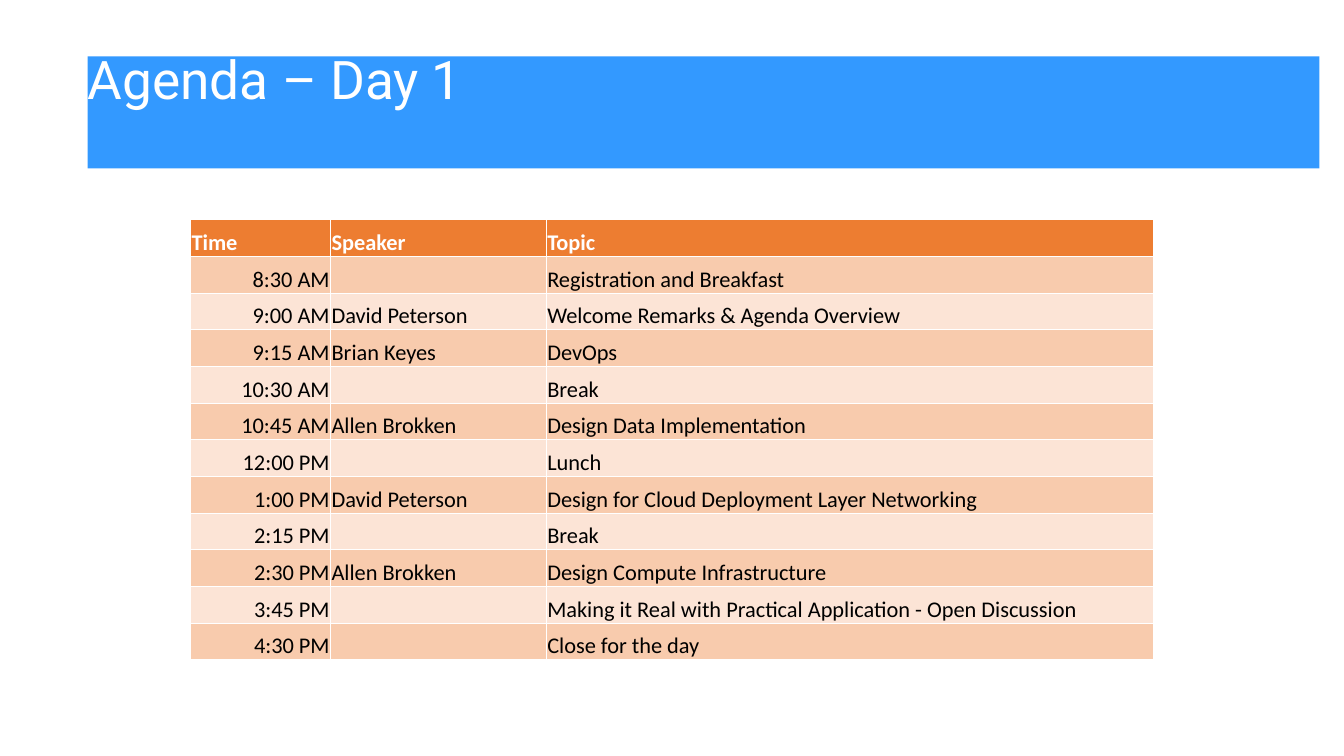
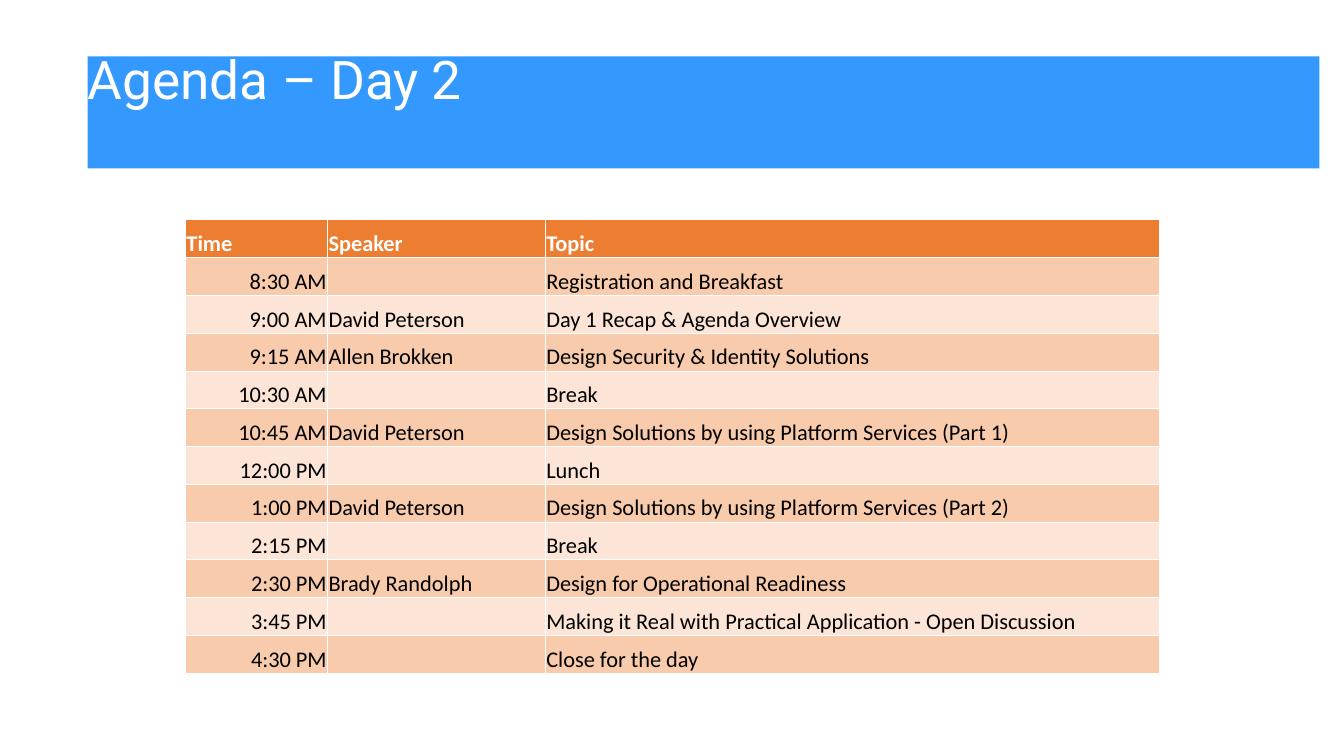
from dataclasses import dataclass
from typing import Any

from lxml.etree import SubElement
from pptx import Presentation
from pptx.dml.color import RGBColor
from pptx.enum.text import MSO_ANCHOR as Anchor, MSO_AUTO_SIZE as AutoSize, PP_ALIGN as Align
from pptx.oxml.ns import qn
from pptx.util import Pt

# Shared look
BAND_BLUE, HEADER_ORANGE, WHITE, BLACK = "3399FF", "ED7D31", "FFFFFF", "000000"
ROW_TINTS = ("F8CBAD", "FCE4D6")
TITLE_BOX = {"left": Pt(62.64), "top": Pt(40.32), "width": Pt(879.84), "height": Pt(79.92)}
TITLE_FRAME = {"margin_left": 0, "margin_top": 0, "margin_right": 0, "margin_bottom": 0,
               "vertical_anchor": Anchor.TOP, "word_wrap": True, "auto_size": AutoSize.NONE}
TITLE_PARAGRAPH = {"alignment": Align.LEFT, "line_spacing": 0.85, "space_before": Pt(0)}
TITLE_FONT = {"name": "Roboto", "size": Pt(38), "bold": False}
CELL_FRAME = {"margin_left": Pt(0.72), "margin_top": Pt(0.72), "margin_right": Pt(0.72),
              "margin_bottom": 0, "vertical_anchor": Anchor.BOTTOM}
CELL_FONT = {"name": "Calibri", "size": Pt(16)}
TABLE_TOP = 156.96
GRID_LINE = 0.5

# Agenda content
HEADINGS = ("Time", "Speaker", "Topic")
TIMES = ("8:30 AM", "9:00 AM", "9:15 AM", "10:30 AM", "10:45 AM", "12:00 PM",
         "1:00 PM", "2:15 PM", "2:30 PM", "3:45 PM", "4:30 PM")


@dataclass(frozen=True)
class Session:
    topic: str
    speaker: str = ""


@dataclass(frozen=True)
class Day:
    title: str
    left: float
    columns: tuple[float, ...]
    row_height: float
    sessions: tuple[Session, ...]


REGISTRATION = Session("Registration and Breakfast")
BREAK = Session("Break")
LUNCH = Session("Lunch")
DISCUSSION = Session("Making it Real with Practical Application - Open Discussion")
CLOSE = Session("Close for the day")

DAYS = (
    Day("Agenda – Day 1", 136.08, (100.08, 154.08, 433.44), 26.2, (
        REGISTRATION,
        Session("Welcome Remarks & Agenda Overview", "David Peterson"),
        Session("DevOps", "Brian Keyes"),
        BREAK,
        Session("Design Data Implementation", "Allen Brokken"),
        LUNCH,
        Session("Design for Cloud Deployment Layer Networking", "David Peterson"),
        BREAK,
        Session("Design Compute Infrastructure", "Allen Brokken"),
        DISCUSSION,
        CLOSE)),
    Day("Agenda – Day 2", 132.48, (101.52, 155.52, 438.48), 27, (
        REGISTRATION,
        Session("Day 1 Recap & Agenda Overview", "David Peterson"),
        Session("Design Security & Identity Solutions", "Allen Brokken"),
        BREAK,
        Session("Design Solutions by using Platform Services (Part 1)", "David Peterson"),
        LUNCH,
        Session("Design Solutions by using Platform Services (Part 2)", "David Peterson"),
        BREAK,
        Session("Design for Operational Readiness", "Brady Randolph"),
        DISCUSSION,
        CLOSE)),
)


def apply(target: Any, values: dict[str, Any]) -> None:
    for name, value in values.items():
        setattr(target, name, value)


def paint(fill: Any, colour: str) -> None:
    fill.solid()
    fill.fore_color.rgb = RGBColor.from_string(colour)


def write(paragraph: Any, text: str, font: dict[str, Any], colour: str) -> None:
    run = paragraph.add_run()
    run.text = text
    apply(run.font, font)
    paint(run.font.fill, colour)


def add_grid_lines(cell: Any) -> None:
    properties = cell._tc.get_or_add_tcPr()
    for side in ("a:lnL", "a:lnR", "a:lnT", "a:lnB"):
        line = SubElement(properties, qn(side), w=str(Pt(GRID_LINE)))
        SubElement(SubElement(line, qn("a:solidFill")), qn("a:srgbClr"), val=WHITE)


def draw_title(slide: Any, text: str) -> None:
    title = slide.shapes.title
    apply(title, TITLE_BOX)
    paint(title.fill, BAND_BLUE)
    apply(title.text_frame, TITLE_FRAME)
    heading = title.text_frame.paragraphs[0]
    apply(heading, TITLE_PARAGRAPH)
    write(heading, text, TITLE_FONT, WHITE)


def draw_cell(cell: Any, text: str, row: int, column: int) -> None:
    is_header = row == 0
    apply(cell, CELL_FRAME)
    add_grid_lines(cell)
    paint(cell.fill, HEADER_ORANGE if is_header else ROW_TINTS[(row - 1) % 2])
    if text:
        entry = cell.text_frame.paragraphs[0]
        entry.alignment = Align.RIGHT if column == 0 and not is_header else Align.LEFT
        write(entry, text, CELL_FONT | {"bold": is_header}, WHITE if is_header else BLACK)


def draw_schedule(slide: Any, day: Day) -> None:
    entries = [HEADINGS] + [(time, session.speaker, session.topic)
                            for time, session in zip(TIMES, day.sessions)]
    schedule = slide.shapes.add_table(
        len(entries), len(HEADINGS), Pt(day.left), Pt(TABLE_TOP),
        Pt(sum(day.columns)), Pt(day.row_height * len(entries))).table
    for column, width in zip(schedule.columns, day.columns):
        column.width = Pt(width)
    for row, texts in enumerate(entries):
        schedule.rows[row].height = Pt(day.row_height)
        for column, text in enumerate(texts):
            draw_cell(schedule.cell(row, column), text, row, column)


def main() -> None:
    deck = Presentation()
    apply(deck, {"slide_width": Pt(960), "slide_height": Pt(540)})
    title_only = deck.slide_layouts[5]
    for day in DAYS:
        slide = deck.slides.add_slide(title_only)
        draw_title(slide, day.title)
        draw_schedule(slide, day)
    deck.save("out.pptx")


if __name__ == "__main__":
    main()
